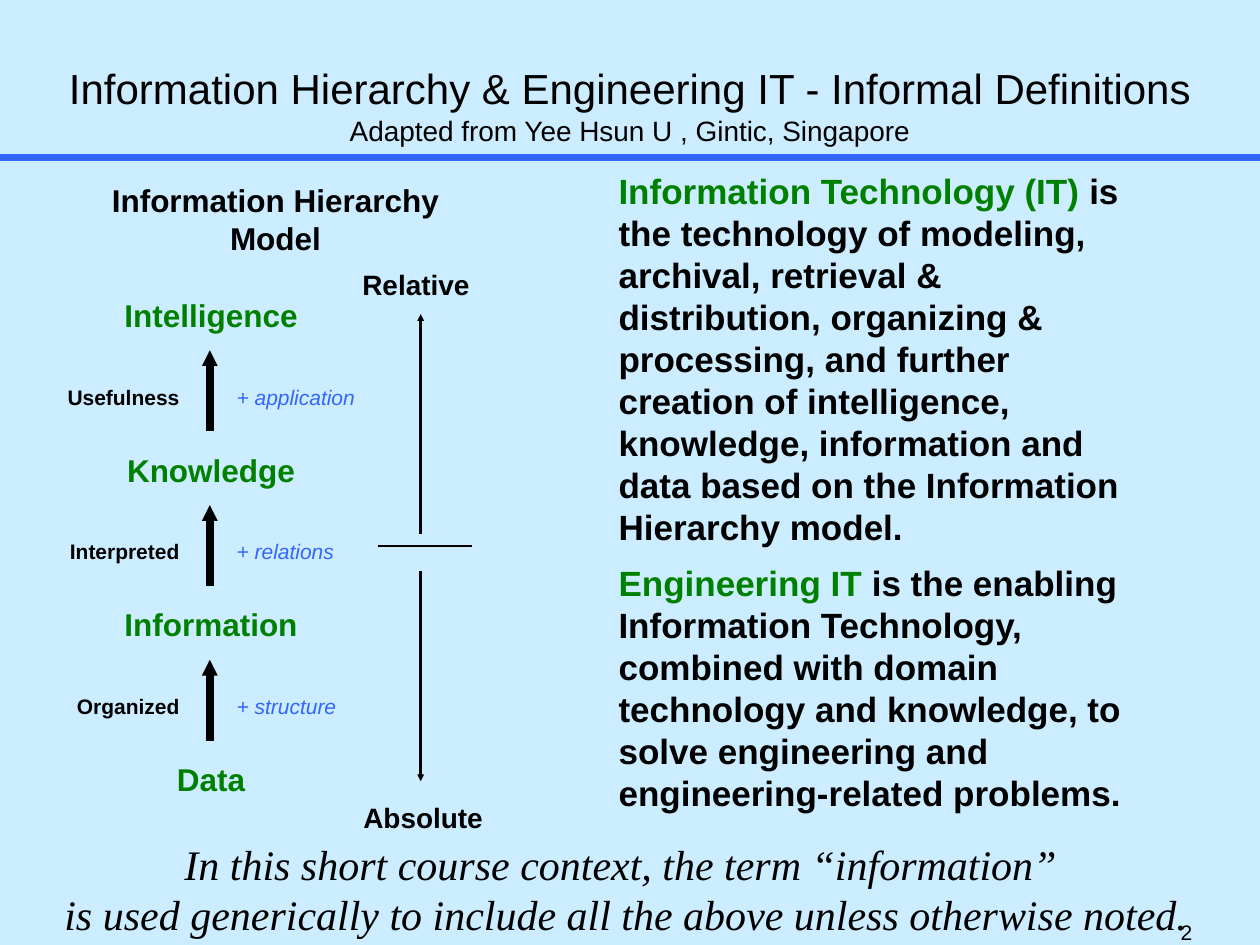
from lxml.etree import SubElement
from pptx import Presentation
from pptx.dml.color import RGBColor
from pptx.enum.shapes import MSO_CONNECTOR
from pptx.enum.text import PP_ALIGN
from pptx.oxml.ns import qn
from pptx.util import Cm, Pt

BLACK = RGBColor(0, 0, 0)
GREEN = RGBColor(0, 0x80, 0)
BLUE = RGBColor(0x33, 0x66, 0xFF)
SKY = RGBColor(0xCC, 0xEC, 0xFF)
LEFT, MID, RIGHT = PP_ALIGN.LEFT, PP_ALIGN.CENTER, PP_ALIGN.RIGHT


def add_run(para, text, size, color=BLACK, bold=False, italic=False, face="Arial"):
    run = para.add_run()
    run.text = text
    font = run.font
    font.name, font.size = face, Pt(size)
    font.bold, font.italic = bold, italic
    font.color.rgb = color


def add_box(slide, x, y, w, h, align=LEFT):
    """Add an empty text box and return its text frame."""
    frame = slide.shapes.add_textbox(Cm(x), Cm(y), Cm(w), Cm(h)).text_frame
    frame.word_wrap = True
    frame.paragraphs[0].alignment = align
    return frame


def add_label(slide, x, y, w, h, text, size, align=MID, **style):
    para = add_box(slide, x, y, w, h, align).paragraphs[0]
    add_run(para, text, size, **style)


def add_line(slide, x1, y1, x2, y2, width, color=BLACK, arrow=False):
    line = slide.shapes.add_connector(
        MSO_CONNECTOR.STRAIGHT, Cm(x1), Cm(y1), Cm(x2), Cm(y2))
    line.line.color.rgb = color
    line.line.width = Pt(width)
    if arrow:
        SubElement(line.line._get_or_add_ln(), qn("a:tailEnd"),
                   type="triangle", w="sm", len="sm")
    SubElement(line._element.spPr, qn("a:effectLst"))


def add_title(slide, x, y, w, h):
    para = add_box(slide, x, y, w, h, MID).paragraphs[0]
    add_run(para, "Information Hierarchy & Engineering IT - Informal Definitions", 24)
    para.add_line_break()
    add_run(para, "Adapted from Yee Hsun U , Gintic, Singapore", 16)
    rule = y + 2.04
    add_line(slide, x, rule, x + w, rule, 4, BLUE)


def add_ladder(slide, x, y, step):
    """Stack the four levels, with an arrow and two labels in each gap."""
    levels = ["Intelligence", "Knowledge", "Information", "Data"]
    gaps = [("Usefulness", "+ application"),
            ("Interpreted", "+ relations"),
            ("Organized", "+ structure")]
    for i, level in enumerate(levels):
        add_label(slide, x + 0.96, y + i * step, 4.45, 1.02, level, 18,
                  color=GREEN, bold=True)
    for i, (state, gain) in enumerate(gaps):
        top = y + i * step
        add_line(slide, x + 3.16, top + 2.85, x + 3.16, top + 1.22, 4.5, arrow=True)
        add_label(slide, x, top + 1.78, 2.8, 0.76, state, 12, RIGHT, bold=True)
        add_label(slide, x + 3.45, top + 1.78, 3.2, 0.76, gain, 12, LEFT,
                  color=BLUE, italic=True)


def add_scale(slide, x, y):
    """Draw the axis from Relative at the top to Absolute at the bottom."""
    axis = x + 1.48
    add_label(slide, x, y, 2.77, 0.94, "Relative", 16, bold=True)
    add_label(slide, x, y + 10.76, 3.06, 0.94, "Absolute", 16, bold=True)
    add_line(slide, x + 0.62, y + 5.74, x + 2.52, y + 5.74, 1)
    add_line(slide, axis, y + 6.25, axis, y + 10.49, 1.5, arrow=True)
    add_line(slide, axis, y + 5.51, axis, y + 1.07, 1.5, arrow=True)


def add_terms(slide, x, y):
    terms = [
        (0, 11.02, "Information Technology (IT)",
         " is the technology of modeling, archival, retrieval & distribution, "
         "organizing & processing, and further creation of intelligence, "
         "knowledge, information and data based on the Information "
         "Hierarchy model."),
        (7.9, 11.46, "Engineering IT",
         " is the enabling Information Technology, combined with domain "
         "technology and knowledge, to solve engineering and "
         "engineering-related problems."),
    ]
    for drop, w, term, text in terms:
        para = add_box(slide, x, y + drop, w, 5.33).paragraphs[0]
        add_run(para, term, 20, GREEN, bold=True)
        add_run(para, text, 20, bold=True)


def add_footer(slide, x, y, w, h):
    frame = add_box(slide, x, y, w, h, MID)
    style = dict(size=24, italic=True, face="Times New Roman")
    add_run(frame.paragraphs[0],
            "In this short course context, the term “information” ", **style)
    para = frame.add_paragraph()
    para.alignment = MID
    add_run(para, "is used generically to include all the above "
                  "unless otherwise noted.", **style)


def add_number(slide, x, y, w, h):
    frame = add_box(slide, x, y, w, h)
    frame.margin_left = frame.margin_right = Cm(0.13)
    frame.margin_top = frame.margin_bottom = 0
    add_run(frame.paragraphs[0], "2", 12)


def main():
    deck = Presentation()
    deck.slide_width, deck.slide_height = Cm(25.4), Cm(19.05)
    slide = deck.slides.add_slide(deck.slide_layouts[6])
    slide.background.fill.solid()
    slide.background.fill.fore_color.rgb = SKY
    add_number(slide, 23.67, 18.54, 1.5, 0.51)
    add_title(slide, 0, 1.14, 25.4, 1.63)
    add_label(slide, 1.26, 3.53, 8.59, 1.78, "Information Hierarchy Model", 18,
              bold=True)
    add_scale(slide, 7, 5.26)
    add_terms(slide, 12.22, 3.29)
    add_ladder(slide, 1.07, 5.84, 3.12)
    add_footer(slide, 0.52, 16.77, 24.2, 2.28)
    deck.save("out.pptx")


if __name__ == "__main__":
    main()
